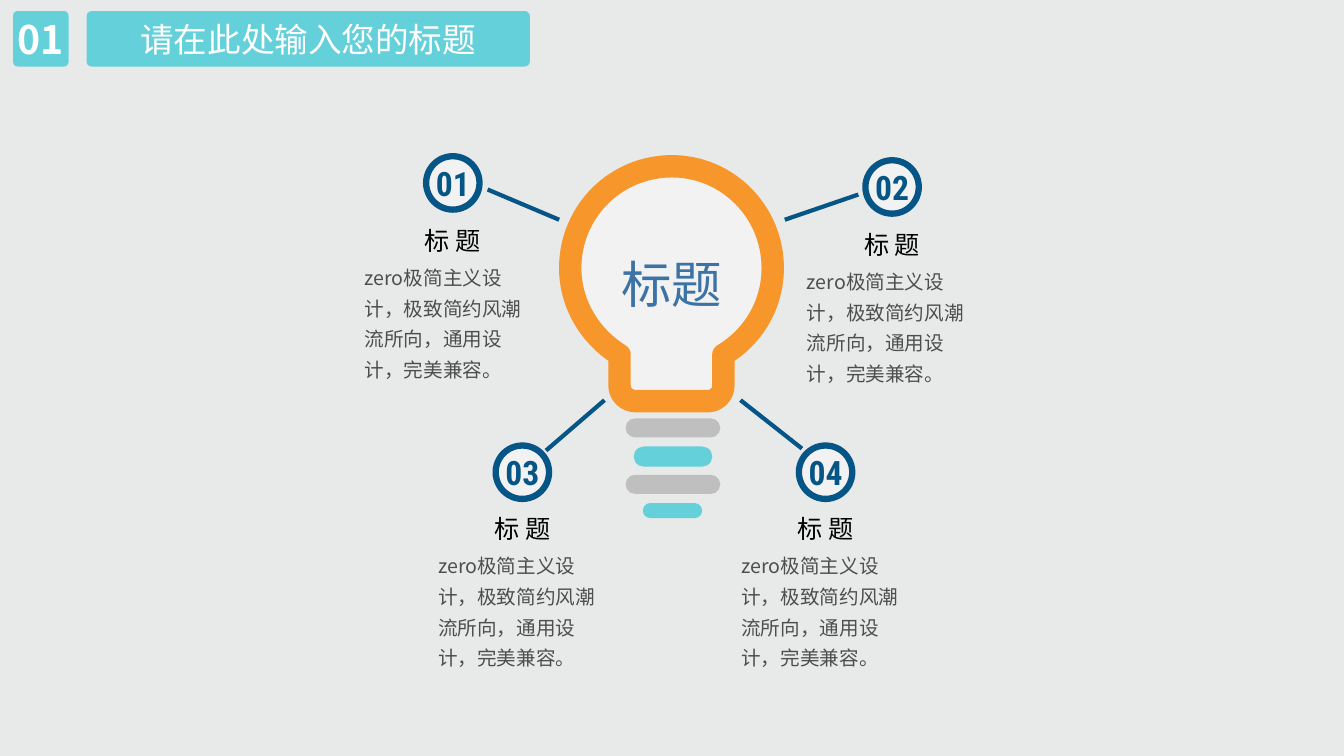
from dataclasses import dataclass

import pptx
import pptx.dml.color
import pptx.enum.shapes
import pptx.enum.text
import pptx.oxml.ns
import pptx.util
from lxml import etree

PX = 9144
CJK = "Noto Sans CJK SC"
NAVY, TEAL, GREY, PALE = "055586", "64D0DA", "BFBFBF", "F2F2F2"
CENTER = pptx.enum.text.PP_ALIGN.CENTER
LEFT = pptx.enum.text.PP_ALIGN.LEFT
SHAPES = pptx.enum.shapes.MSO_SHAPE
BODY = "zero极简主义设计，极致简约风潮流所向，通用设计，完美兼容。"
Point = tuple[int, int]


@dataclass(frozen=True)
class Box:
    left: int
    top: int
    width: int
    height: int

    def emu(self) -> tuple[int, ...]:
        return tuple(v * PX for v in (self.left, self.top, self.width, self.height))


@dataclass(frozen=True)
class Style:
    size: int
    color: str
    font: str = CJK
    bold: bool = False
    align: int = CENTER
    line_spacing: float = 1.0
    space_before: float = 0


@dataclass(frozen=True)
class Idea:
    number: str
    left: int
    top: int
    text_top: int
    body_left: int
    ray: tuple[int, int, int, int]


@dataclass(frozen=True)
class Band:
    box: Box
    color: str


@dataclass(frozen=True)
class Segment:
    end: Point
    controls: tuple[Point, ...] = ()


IDEAS = [
    Idea("01", 423, 155, 224, 352, (484, 188, 555, 218)),
    Idea("02", 859, 159, 228, 791, (852, 193, 779, 218)),
    Idea("03", 492, 442, 510, 425, (542, 447, 600, 397)),
    Idea("04", 793, 442, 510, 726, (796, 445, 735, 397)),
]
BANDS = [
    Band(Box(621, 415, 94, 19), GREY),
    Band(Box(629, 443, 78, 20), TEAL),
    Band(Box(621, 471, 94, 19), GREY),
    Band(Box(638, 499, 59, 15), TEAL),
]
BULB_LEFT, BULB_TOP = 566, 165
BULB_START = (667, BULB_TOP)
BULB = [
    Segment((767, 266), ((722, 165), (767, 210))),
    Segment((718, 352), ((767, 302), (748, 334))),
    Segment((718, 383)),
    Segment((703, 398), ((718, 391), (711, 398))),
    Segment((631, 398)),
    Segment((615, 383), ((622, 398), (615, 391))),
    Segment((615, 352)),
    Segment((BULB_LEFT, 266), ((586, 334), (566, 302))),
    Segment(BULB_START, ((566, 210), (611, 165))),
]
NUMBER = Style(24, NAVY, "Roboto Condensed", bold=True, space_before=7.5)
HEADING = Style(18, "000000", line_spacing=0.8)
DETAIL = Style(14, "4E4E4E", align=LEFT, line_spacing=1.3)


def rgb(color: str):
    return pptx.dml.color.RGBColor.from_string(color)


def paint(shape, fill: str, line: str | None = None, weight: float = 0) -> None:
    shape.shadow.inherit = False
    shape.fill.solid()
    shape.fill.fore_color.rgb = rgb(fill)
    if line:
        shape.line.color.rgb = rgb(line)
        shape.line.width = pptx.util.Pt(weight)
    else:
        shape.line.fill.background()


def write(shape, text: str, style: Style, inset: bool = True) -> None:
    frame = shape.text_frame
    frame.word_wrap = True
    if not inset:
        frame.margin_left = frame.margin_right = 0
        frame.margin_top = frame.margin_bottom = 0
    paragraph = frame.paragraphs[0]
    paragraph.alignment = style.align
    paragraph.line_spacing = style.line_spacing
    paragraph.space_before = pptx.util.Pt(style.space_before)
    paragraph._p.get_or_add_pPr().set("hangingPunct", "0")
    run = paragraph.add_run()
    run.text = text
    run.font.size = pptx.util.Pt(style.size)
    run.font.bold = style.bold
    run.font.color.rgb = rgb(style.color)
    run.font.name = style.font
    east_asian = etree.SubElement(run.font._element, pptx.oxml.ns.qn("a:ea"))
    east_asian.set("typeface", style.font)


def add_middle_text(shape, text: str, style: Style, inset: bool = True) -> None:
    shape.text_frame.vertical_anchor = pptx.enum.text.MSO_ANCHOR.MIDDLE
    write(shape, text, style, inset)


def add_rounded(slide, box: Box, color: str, corner: float):
    shape = slide.shapes.add_shape(SHAPES.ROUNDED_RECTANGLE, *box.emu())
    shape.adjustments[0] = corner
    paint(shape, color)
    return shape


def add_text(slide, box: Box, text: str, style: Style) -> None:
    label = slide.shapes.add_textbox(*box.emu())
    write(label, text, style)
    label.text_frame.auto_size = pptx.enum.text.MSO_AUTO_SIZE.SHAPE_TO_FIT_TEXT


def bend(outline, segments: list[Segment]) -> None:
    qn = pptx.oxml.ns.qn
    sides = list(outline._element.iter(qn("a:lnTo")))
    for side, segment in zip(sides, segments):
        if segment.controls:
            curve = etree.Element(qn("a:cubicBezTo"))
            for x, y in (*segment.controls, segment.end):
                point = etree.SubElement(curve, qn("a:pt"))
                point.set("x", str(x - BULB_LEFT))
                point.set("y", str(y - BULB_TOP))
            side.getparent().replace(side, curve)


def add_bulb(slide) -> None:
    builder = slide.shapes.build_freeform(*BULB_START, scale=PX)
    builder.add_line_segments([segment.end for segment in BULB], close=True)
    bulb = builder.convert_to_shape()
    bend(bulb, BULB)
    paint(bulb, PALE, "F7962B", 16)
    add_middle_text(bulb, "标题", Style(36, "3C72A4"))


def add_ray(slide, ends: tuple[int, int, int, int]) -> None:
    ray = slide.shapes.add_connector(
        pptx.enum.shapes.MSO_CONNECTOR.STRAIGHT, *(v * PX for v in ends)
    )
    ray.line.color.rgb = rgb(NAVY)
    ray.line.width = pptx.util.Pt(3)
    etree.SubElement(ray._element.spPr, pptx.oxml.ns.qn("a:effectLst"))


def add_idea(slide, idea: Idea) -> None:
    badge = slide.shapes.add_shape(SHAPES.OVAL, *Box(idea.left, idea.top, 53, 53).emu())
    paint(badge, PALE, NAVY, 4.5)
    add_middle_text(badge, idea.number, NUMBER, inset=False)
    add_ray(slide, idea.ray)
    add_text(slide, Box(idea.left - 40, idea.text_top, 133, 34), "标 题", HEADING)
    add_text(slide, Box(idea.body_left, idea.text_top + 28, 186, 132), BODY, DETAIL)


def main() -> None:
    deck = pptx.Presentation()
    deck.slide_width, deck.slide_height = 1334 * PX, 750 * PX
    slide = deck.slides.add_slide(deck.slide_layouts[6])
    slide.background.fill.solid()
    slide.background.fill.fore_color.rgb = rgb("E8E9E9")

    add_bulb(slide)
    for band in BANDS:
        add_rounded(slide, band.box, band.color, 0.5)
    for idea in IDEAS:
        add_idea(slide, idea)

    section = add_rounded(slide, Box(13, 11, 55, 55), TEAL, 0.08)
    add_middle_text(section, "01", Style(28, "FFFFFF", bold=True), inset=False)
    headline = add_rounded(slide, Box(86, 11, 440, 55), TEAL, 0.09)
    add_middle_text(headline, "请在此处输入您的标题", Style(24, "FFFFFF"))

    deck.save("out.pptx")


if __name__ == "__main__":
    main()
